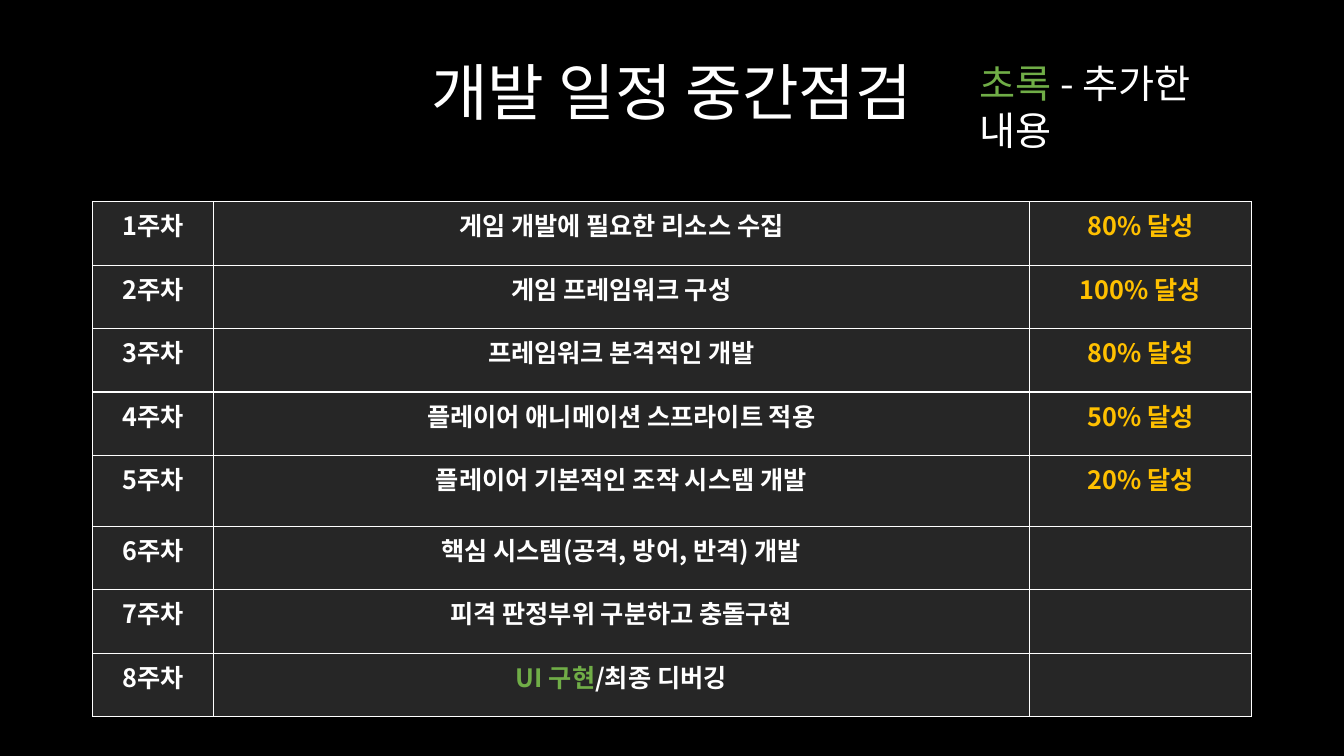
"""Build the mid-term development schedule slide."""
from lxml import etree
from pptx import Presentation
from pptx import util as u
from pptx.dml.color import RGBColor
from pptx.enum import text
from pptx.oxml import ns

COLORS = {"bg": "000000", "cell": "262626", "text": "FFFFFF",
          "added": "70AD47", "done": "FFC000"}
FONT = "Noto Sans CJK KR"
TITLE = "개발 일정 중간점검"
LEGEND = [("초록 ", "added"), ("- 추가한 내용", "text")]
WEEKS = [
    ([("게임 개발에 필요한 리소스 수집", "text")], "80% 달성"),
    ([("게임 프레임워크 구성", "text")], "100% 달성"),
    ([("프레임워크 본격적인 개발", "text")], "80% 달성"),
    ([("플레이어 애니메이션 스프라이트 적용", "text")], "50% 달성"),
    ([("플레이어 기본적인 조작 시스템 개발", "text")], "20% 달성"),
    ([("핵심 시스템(공격, 방어, 반격) 개발", "text")], ""),
    ([("피격 판정부위 구분하고 충돌구현", "text")], ""),
    ([("UI 구현", "added"), ("/최종 디버깅", "text")], ""),
]
LEFT, WIDTH = 66, 828
COLS = [86.4, 582.8, 158.8]
ROW_H, TALL_ROW, TALL_H = 45.36, 4, 50.4


def rgb(name):
    """Return a palette colour."""
    return RGBColor.from_string(COLORS[name])


def write(tf, runs, size=18, bold=False, align=text.PP_ALIGN.CENTER, spacing=None):
    """Fill the first paragraph with (text, colour) runs."""
    p = tf.paragraphs[0]
    p.alignment = align
    if spacing:
        p.line_spacing = spacing
    for words, color in runs:
        r = p.add_run()
        r.text = words
        r.font.name, r.font.size, r.font.bold = FONT, u.Pt(size), bold
        r.font.color.rgb = rgb(color)
        ea = etree.SubElement(r.font._element, ns.qn("a:ea"))
        ea.set("typeface", FONT)


def style_cell(cell):
    """Give a cell its borders and fill."""
    tc_pr = cell._tc.get_or_add_tcPr()
    for side in "LRTB":
        ln = etree.SubElement(tc_pr, ns.qn(f"a:ln{side}"), w=str(u.Pt(1)))
        fill = etree.SubElement(ln, ns.qn("a:solidFill"))
        etree.SubElement(fill, ns.qn("a:srgbClr"), val=COLORS["text"])
    cell.fill.solid()
    cell.fill.fore_color.rgb = rgb("cell")


def main():
    """Lay out the slide and save it."""
    prs = Presentation()
    prs.slide_width, prs.slide_height = u.Pt(960), u.Pt(540)
    s = prs.slides.add_slide(prs.slide_layouts[5])
    s.background.fill.solid()
    s.background.fill.fore_color.rgb = rgb("bg")

    title = s.shapes.title
    title.left, title.top = u.Pt(LEFT), u.Pt(15.84)
    title.width, title.height = u.Pt(WIDTH), u.Pt(104.4)
    title.text_frame.vertical_anchor = text.MSO_ANCHOR.MIDDLE
    write(title.text_frame, [(TITLE, "text")], size=44, spacing=0.9)

    heights = [TALL_H if i == TALL_ROW else ROW_H for i in range(len(WEEKS))]
    frame = s.shapes.add_table(len(WEEKS), len(COLS), u.Pt(LEFT), u.Pt(144),
                               u.Pt(WIDTH), u.Pt(sum(heights)))
    table = frame.table
    table.first_row = table.horz_banding = False
    for col, width in zip(table.columns, COLS):
        col.width = u.Pt(width)
    for i, (task, progress) in enumerate(WEEKS):
        table.rows[i].height = u.Pt(heights[i])
        status = [(progress, "done")] if progress else []
        row = [[(f"{i + 1}주차", "text")], task, status]
        for cell, runs in zip(table.rows[i].cells, row):
            style_cell(cell)
            write(cell.text_frame, runs, bold=True)

    legend = s.shapes.add_textbox(u.Pt(692.64), u.Pt(38.88), u.Pt(212.4), u.Pt(41.04))
    tf = legend.text_frame
    tf.word_wrap = True
    tf.auto_size = text.MSO_AUTO_SIZE.SHAPE_TO_FIT_TEXT
    write(tf, LEGEND, size=28, align=text.PP_ALIGN.LEFT)

    prs.save("out.pptx")


if __name__ == "__main__":
    main()
